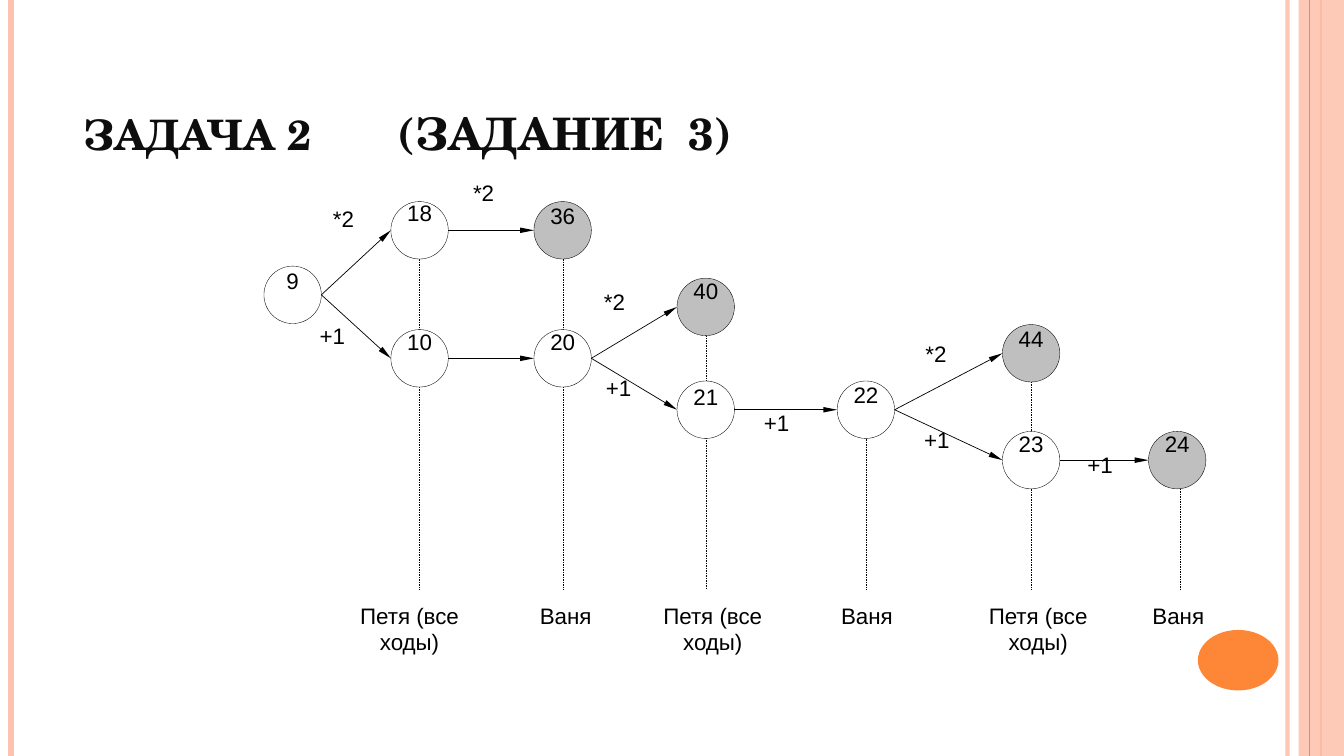
from pptx import Presentation
from pptx.dml.color import RGBColor
from pptx.enum.dml import MSO_LINE
from pptx.enum.shapes import MSO_CONNECTOR, MSO_SHAPE
from pptx.enum.text import MSO_ANCHOR, PP_ALIGN
from pptx.oxml.ns import qn
from pptx.util import Inches, Pt
from lxml.etree import SubElement

BLACK = RGBColor(0x00, 0x00, 0x00)
INK = RGBColor(0x0D, 0x0D, 0x0D)
WHITE = RGBColor(0xFF, 0xFF, 0xFF)
GREY = RGBColor(0xBF, 0xBF, 0xBF)
PEACH = RGBColor(0xFE, 0xC3, 0xAE)
ORANGE = RGBColor(0xFE, 0x86, 0x37)

NODE = 0.57  # diameter of a position in the game tree

# Position: left, top, is winning, vertical shift of its number
POSITIONS = {
    "9": (0.62, 1.64, False, -0.04),
    "18": (1.88, 1, False, -0.07),
    "10": (1.88, 2.27, False, -0.06),
    "36": (3.3, 1, True, -0.04),
    "20": (3.3, 2.27, False, -0.06),
    "40": (4.72, 1.76, True, -0.06),
    "21": (4.72, 2.78, False, -0.03),
    "22": (6.31, 2.78, False, -0.05),
    "44": (7.95, 2.22, True, -0.04),
    "23": (7.95, 3.28, False, -0.06),
    "24": (9.4, 3.28, True, -0.06),
}

# Move: from, to, operation, left and top of its label
MOVES = [
    ("9", "18", "*2", 1.16, 0.99),
    ("9", "10", "+1", 1.05, 2.15),
    ("18", "36", "*2", 2.55, 0.73),
    ("10", "20", None, 0, 0),
    ("20", "40", "*2", 3.85, 1.81),
    ("20", "21", "+1", 3.89, 2.66),
    ("21", "22", "+1", 5.46, 3.01),
    ("22", "44", "*2", 7.04, 2.32),
    ("22", "23", "+1", 7.05, 3.18),
    ("23", "24", "+1", 8.67, 3.43),
]

# Turn: player, x of the dashed line, its top, left of the player's name
TURNS = [
    ("Петя (все ходы)", 2.16, 1.3, 1.27),
    ("Ваня", 3.59, 1.3, 2.82),
    ("Петя (все ходы)", 5.01, 2.03, 4.28),
    ("Ваня", 6.6, 3.06, 5.81),
    ("Петя (все ходы)", 8.24, 2.49, 7.51),
    ("Ваня", 9.71, 3.55, 8.9),
]


def add_text(slide, runs, left, top, width, height, font="Arial", color=BLACK,
             bold=False, align=PP_ALIGN.CENTER, anchor=MSO_ANCHOR.TOP,
             side_inset=0, tabs=()):
    """Place one paragraph made of (text, size) runs."""
    box = slide.shapes.add_textbox(Inches(left), Inches(top), Inches(width), Inches(height))
    frame = box.text_frame
    frame.word_wrap = True
    frame.vertical_anchor = anchor
    frame.margin_left = frame.margin_right = Inches(side_inset)
    paragraph = frame.paragraphs[0]
    paragraph.alignment = align
    if tabs:
        stops = SubElement(paragraph._p.get_or_add_pPr(), qn("a:tabLst"))
        for position in tabs:
            SubElement(stops, qn("a:tab"), pos=str(Inches(position)), algn="l")
    for text, size in runs:
        run = paragraph.add_run()
        run.text = text
        run.font.name = font
        run.font.size = Pt(size)
        run.font.bold = bold
        run.font.color.rgb = color


def set_opacity(part, percent):
    color = part._element.find(".//" + qn("a:srgbClr"))
    SubElement(color, qn("a:alpha"), val=str(percent * 1000))


def add_line(slide, x1, y1, x2, y2, color=BLACK, width=0.25, dashed=False, arrow=False):
    line = slide.shapes.add_connector(
        MSO_CONNECTOR.STRAIGHT, Inches(x1), Inches(y1), Inches(x2), Inches(y2))
    line.line.color.rgb = color
    line.line.width = Pt(width)
    if dashed:
        line.line.dash_style = MSO_LINE.DASH
    properties = line._element.spPr
    if arrow:
        SubElement(properties.find(qn("a:ln")), qn("a:tailEnd"),
                   type="triangle", w="sm", len="lg")
    SubElement(properties, qn("a:effectLst"))
    return line


def add_figure(slide, kind, left, top, width, height, fill, outline=None):
    figure = slide.shapes.add_shape(
        kind, Inches(left), Inches(top), Inches(width), Inches(height))
    figure.shadow.inherit = False
    figure.fill.solid()
    figure.fill.fore_color.rgb = fill
    if outline is None:
        figure.line.fill.background()
    else:
        figure.line.color.rgb = outline
        figure.line.width = Pt(0.25)
    return figure


def add_frame(slide, left, top, width, height):
    """Stripes along both edges and the orange oval."""
    right, bottom = left + width, top + height

    def stripe(x, color, weight):
        return add_line(slide, x, top, x, bottom, color, weight)

    set_opacity(stripe(right - 0.56, PEACH, 3), 93)
    stripe(left + 0.11, PEACH, 4.5)
    stripe(right - 0.23, ORANGE, 1.5)
    band = add_figure(slide, MSO_SHAPE.RECTANGLE, right - 0.45, top, 0.45, height, PEACH)
    set_opacity(band, 87)
    stripe(right - 0.34, ORANGE, 0.75)
    add_figure(slide, MSO_SHAPE.OVAL, right - 1.45, bottom - 1.25, 0.8, 0.6, ORANGE)


def add_title(slide, left, top, width, height):
    add_text(slide, [("ЗАДАЧА 2\t", 30), ("(ЗАДАНИЕ\t3)", 32)], left, top, width, height,
             font="TeX Gyre Schola", color=INK, bold=True, align=PP_ALIGN.LEFT,
             anchor=MSO_ANCHOR.BOTTOM, side_inset=0.1, tabs=(3.12, 6.01))


def add_game_tree(slide, left, top, height):
    # Players' turns
    for player, x, line_top, name_left in TURNS:
        add_line(slide, left + x, top + line_top, left + x, top + height - 1.1, dashed=True)
        add_text(slide, [(player, 16)], left + name_left, top + height - 1.03, 1.59, 1.03)

    # Positions with their numbers
    for number, (x, y, winning, shift) in POSITIONS.items():
        add_figure(slide, MSO_SHAPE.OVAL, left + x, top + y, NODE, NODE,
                   GREY if winning else WHITE, BLACK)
        add_text(slide, [(number, 16)], left + x - 0.04, top + y + shift, 0.65, 0.55)

    # Moves with their operations
    for start, end, operation, label_left, label_top in MOVES:
        x1, y1 = POSITIONS[start][:2]
        x2, y2 = POSITIONS[end][:2]
        add_line(slide, left + x1 + NODE, top + y1 + NODE / 2,
                 left + x2, top + y2 + NODE / 2, width=0.5, arrow=True)
        if operation:
            add_text(slide, [(operation, 16)], left + label_left, top + label_top, 0.5, 0.61)


def main():
    deck = Presentation()
    deck.slide_width, deck.slide_height = Inches(13.34), Inches(7.5)
    slide = deck.slides.add_slide(deck.slide_layouts[6])
    add_frame(slide, 0, 0, 13.34, 7.5)
    add_title(slide, 0.73, 0, 11.13, 1.63)
    add_game_tree(slide, 2, 1, 5.95)
    deck.save("out.pptx")


if __name__ == "__main__":
    main()
